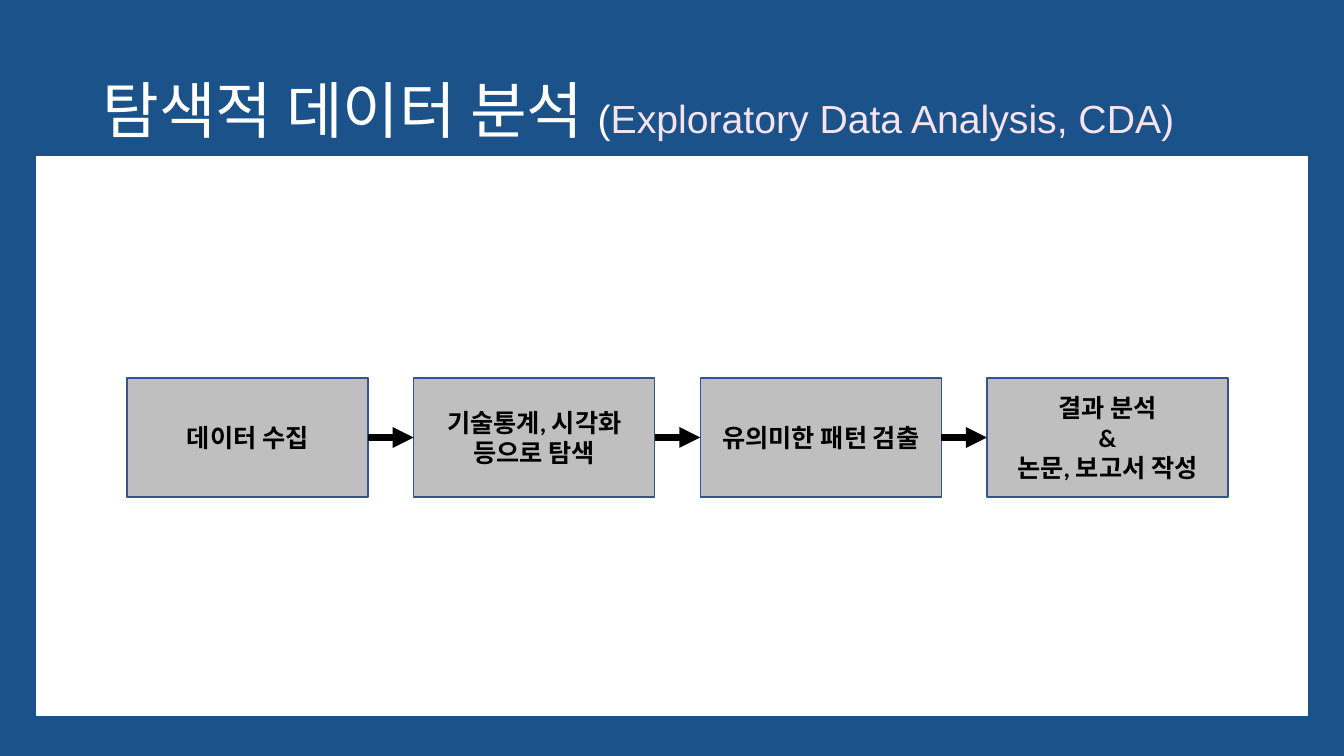
from pptx import Presentation
from pptx.dml.color import RGBColor
from pptx.enum.shapes import MSO_CONNECTOR, MSO_SHAPE
from pptx.enum.text import MSO_ANCHOR, MSO_AUTO_SIZE, PP_ALIGN
from pptx.oxml.ns import qn
from pptx.util import Pt
from lxml import etree

RECT = MSO_SHAPE.RECTANGLE
STRAIGHT = MSO_CONNECTOR.STRAIGHT
MIDDLE = MSO_ANCHOR.MIDDLE
NO_FIT = MSO_AUTO_SIZE.NONE
LEFT, CENTER = PP_ALIGN.LEFT, PP_ALIGN.CENTER

NAVY = RGBColor(0x1A, 0x52, 0x89)
WHITE = RGBColor(0xFF, 0xFF, 0xFF)
PINK = RGBColor(0xF5, 0xE3, 0xEF)
GRAY = RGBColor(0xBF, 0xBF, 0xBF)
BLUE = RGBColor(0x32, 0x54, 0x91)
BLACK = RGBColor(0, 0, 0)

TITLE = [("탐색적 데이터 분석 ", 44, WHITE), ("(", 28, WHITE),
         ("Exploratory Data Analysis, CDA)", 28, PINK)]
STEPS = [["데이터 수집"], ["기술통계, 시각화 등으로 탐색"],
         ["유의미한 패턴 검출"], ["결과 분석", "&", "논문, 보고서 작성"]]
STEP_LEFT, STEP_TOP, STEP_WIDTH, STEP_HEIGHT = 90.8, 270, 172.2, 85
PITCH = 204.7


def set_all(target, values):
    """Set every attribute named in a dict."""
    for name, value in values.items():
        setattr(target, name, value)


def add_run(para, text, size, color, font, bold=False):
    """Add one formatted run to a paragraph."""
    run = para.add_run()
    run.text = text
    set_all(run.font, {"size": Pt(size), "name": font, "bold": bold})
    run.font.color.rgb = color


def fill_title(slide):
    """Place the title and write its runs."""
    title = slide.shapes.title
    set_all(title, {"left": Pt(66), "top": Pt(28.8),
                    "width": Pt(828), "height": Pt(104.4)})
    frame = title.text_frame
    set_all(frame, {"vertical_anchor": MIDDLE, "auto_size": NO_FIT,
                    "word_wrap": True})
    para = frame.paragraphs[0]
    set_all(para, {"alignment": LEFT, "line_spacing": 0.9})
    for text, size, color in TITLE:
        add_run(para, text, size, color, "Arial")


def add_box(slide, left, top, width, height, fill, edge, lines=()):
    """Add a rectangle with centred bold lines of text."""
    box = slide.shapes.add_shape(RECT, Pt(left), Pt(top), Pt(width), Pt(height))
    box.shadow.inherit = False
    box.fill.solid()
    box.fill.fore_color.rgb = fill
    box.line.color.rgb = edge
    box.line.width = Pt(1)
    frame = box.text_frame
    set_all(frame, {"vertical_anchor": MIDDLE, "word_wrap": True})
    for index, text in enumerate(lines):
        para = frame.add_paragraph() if index else frame.paragraphs[0]
        para.alignment = CENTER
        add_run(para, text, 18, BLACK, "Calibri", True)


def add_arrow(slide, start, end, level):
    """Add a thick level arrow."""
    arrow = slide.shapes.add_connector(
        STRAIGHT, Pt(start), Pt(level), Pt(end), Pt(level))
    arrow.line.color.rgb = BLACK
    arrow.line.width = Pt(5)
    line = arrow.line._get_or_add_ln()
    etree.SubElement(line, qn("a:tailEnd"), type="triangle")
    etree.SubElement(arrow._element.spPr, qn("a:effectLst"))


def main():
    """Build the slide and save it."""
    deck = Presentation()
    set_all(deck, {"slide_width": Pt(960), "slide_height": Pt(540)})
    slide = deck.slides.add_slide(deck.slide_layouts.get_by_name("Title Only"))
    slide.background.fill.solid()
    slide.background.fill.fore_color.rgb = NAVY

    fill_title(slide)
    add_box(slide, 26, 112, 908, 399, WHITE, WHITE)
    for index, lines in enumerate(STEPS):
        left = STEP_LEFT + index * PITCH
        add_box(slide, left, STEP_TOP, STEP_WIDTH, STEP_HEIGHT, GRAY, BLUE, lines)
        if index:
            add_arrow(slide, left - PITCH + STEP_WIDTH, left,
                      STEP_TOP + STEP_HEIGHT / 2)
    deck.save("out.pptx")


main()
